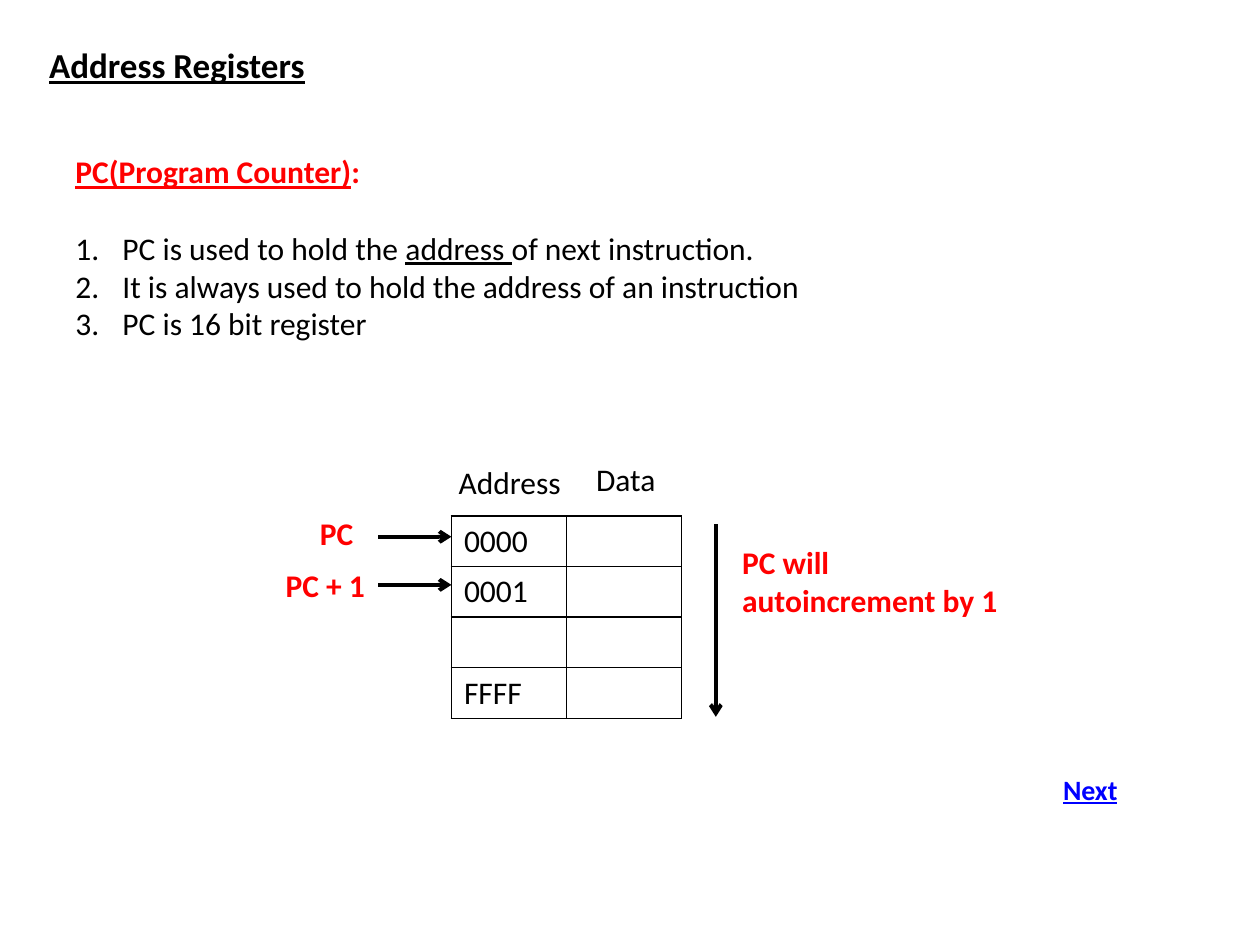
import dataclasses

import pptx
import pptx.dml.color
import pptx.enum.shapes
import pptx.enum.text
import pptx.oxml.ns
import pptx.util
from lxml import etree

Cm = pptx.util.Cm
Pt = pptx.util.Pt
RGB = pptx.dml.color.RGBColor
qn = pptx.oxml.ns.qn


@dataclasses.dataclass(frozen=True)
class Theme:
    font: str = "Calibri"
    ink: RGB = RGB(0, 0, 0)
    accent: RGB = RGB(255, 0, 0)
    link: RGB = RGB(0, 0, 255)
    title: int = 20
    body: int = 18
    small: int = 16
    arrow: float = 2.25
    border: float = 1


THEME = Theme()


def format_run(r, size=THEME.body, color=THEME.ink, bold=False, underline=False):
    r.font.name = THEME.font
    r.font.size = Pt(size)
    r.font.color.rgb = color
    r.font.bold = bold
    r.font.underline = underline


def add_box(s, left, top, width, height):
    tf = s.shapes.add_textbox(Cm(left), Cm(top), Cm(width), Cm(height)).text_frame
    tf.word_wrap = True
    return tf


def add_label(s, text, left, top, width, height=1.02, center=False, **style):
    p = add_box(s, left, top, width, height).paragraphs[0]
    p.text = text
    if center:
        p.alignment = pptx.enum.text.PP_ALIGN.CENTER
    format_run(p.runs[0], **style)


def add_runs(p, parts, **style):
    """Parts are (text, underlined) pairs."""
    for text, underline in parts:
        r = p.add_run()
        r.text = text
        format_run(r, underline=underline, **style)


def number_paragraph(p):
    pPr = p._p.get_or_add_pPr()
    indent = Cm(0.95)
    pPr.set("marL", str(indent))
    pPr.set("indent", str(-indent))
    etree.SubElement(pPr, qn("a:buAutoNum"), type="arabicPeriod")


def add_notes_list(s):
    tf = add_box(s, 1.27, 2.95, 23.7, 5.64)
    heading = tf.paragraphs[0]
    heading.space_after = Pt(22)
    add_runs(heading, [("PC(Program Counter)", True), (":", False)],
             color=THEME.accent, bold=True)
    items = [
        [("PC is used to hold the ", False), ("address ", True),
         ("of next instruction.", False)],
        [("It is always used to hold the address of an instruction", False)],
        [("PC is 16 bit register", False)],
    ]
    for parts in items:
        p = tf.add_paragraph()
        number_paragraph(p)
        add_runs(p, parts)


def add_arrow(s, x1, y1, x2, y2):
    line = s.shapes.add_connector(pptx.enum.shapes.MSO_CONNECTOR.STRAIGHT,
                                  Cm(x1), Cm(y1), Cm(x2), Cm(y2))
    line.line.color.rgb = THEME.ink
    line.line.width = Pt(THEME.arrow)
    etree.SubElement(line.line._get_or_add_ln(), qn("a:tailEnd"), type="arrow")
    etree.SubElement(line._element.spPr, qn("a:effectLst"))


def border_cell(cell):
    tcPr = cell._tc.get_or_add_tcPr()
    for side in ("lnL", "lnR", "lnT", "lnB"):
        ln = etree.SubElement(tcPr, qn(f"a:{side}"), w=str(Pt(THEME.border)))
        fill = etree.SubElement(ln, qn("a:solidFill"))
        etree.SubElement(fill, qn("a:srgbClr"), val=str(THEME.ink))


def add_memory_table(s, addresses, left, top, col_width, row_height):
    rows = len(addresses)
    table = s.shapes.add_table(rows, 2, Cm(left), Cm(top), Cm(2 * col_width),
                               Cm(rows * row_height)).table
    table.first_row = table.horz_banding = False
    for col in table.columns:
        col.width = Cm(col_width)
    for row, address in zip(table.rows, addresses):
        row.height = Cm(row_height)
        if address:
            p = row.cells[0].text_frame.paragraphs[0]
            p.text = address
            format_run(p.runs[0])
        for cell in row.cells:
            border_cell(cell)
            cell.fill.background()


def main():
    prs = pptx.Presentation()
    prs.slide_width, prs.slide_height = Cm(25.4), Cm(19.05)
    s = prs.slides.add_slide(prs.slide_layouts[6])
    red = {"color": THEME.accent, "bold": True}

    # Title and numbered list
    add_label(s, "Address Registers", 0.74, 0.76, 6.68, 1.12,
              size=THEME.title, bold=True, underline=True)
    add_notes_list(s)

    # Memory table with its column headings
    add_memory_table(s, ["0000", "0001", "", "FFFF"], 9.1, 10.4, 2.32, 1.02)
    add_label(s, "Address", 8.46, 9.2, 3.63, center=True)
    add_label(s, "Data", 10.8, 9.14, 3.63, center=True)

    # Pointers into the table
    add_label(s, "PC", 6.2, 10.24, 1.35, **red)
    add_label(s, "PC + 1", 5.51, 11.28, 2.29, **red)
    for y in (10.82, 11.79):
        add_arrow(s, 7.62, y, 9.1, y)

    # Direction of counting
    add_arrow(s, 14.43, 10.57, 14.43, 14.45)
    add_label(s, "PC will autoincrement by 1", 14.71, 10.82, 6.05, 1.8, **red)

    # Navigation
    add_label(s, "Next", 21.18, 15.44, 3.07, 0.94,
              size=THEME.small, color=THEME.link, bold=True, underline=True)

    prs.save("out.pptx")


if __name__ == "__main__":
    main()
